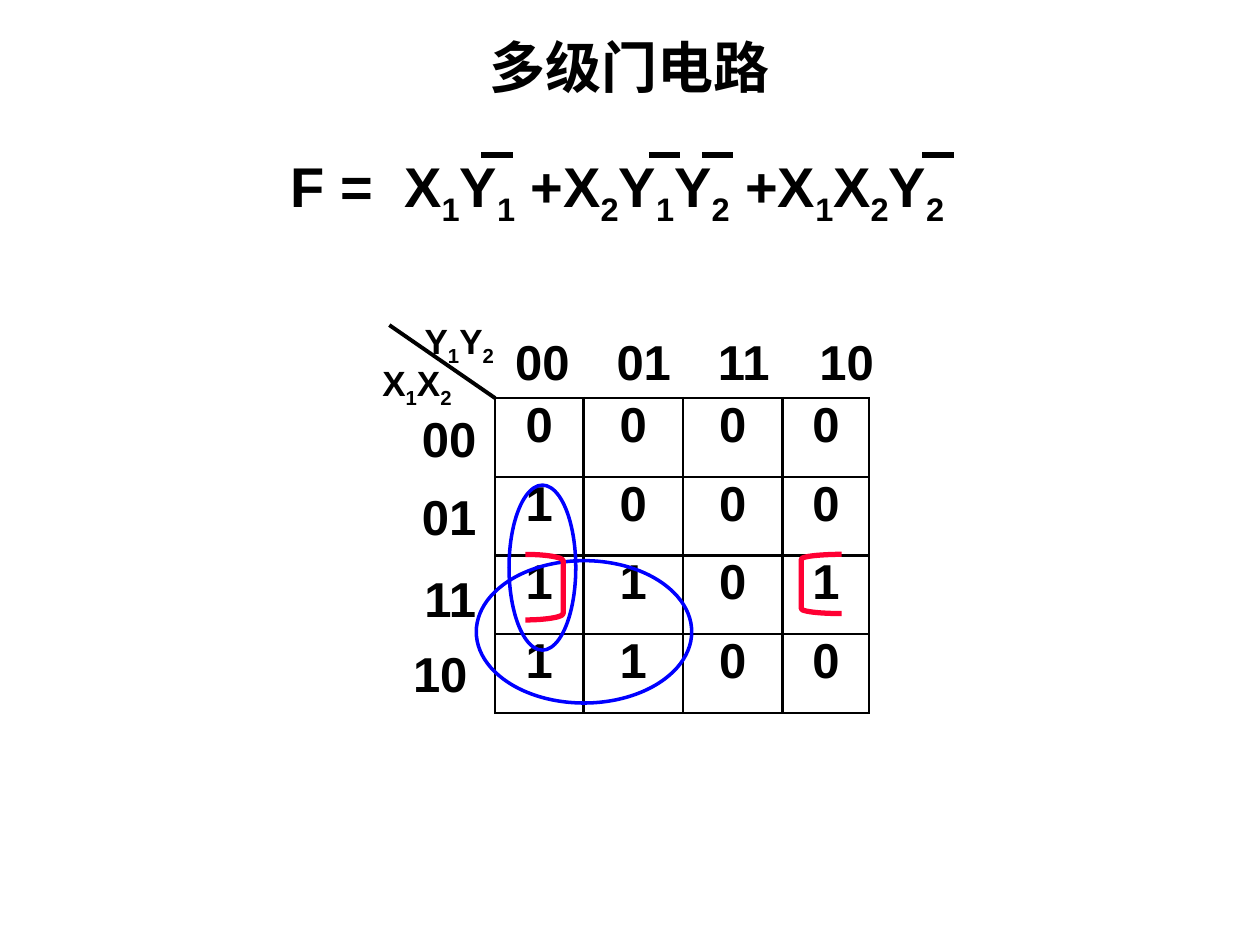
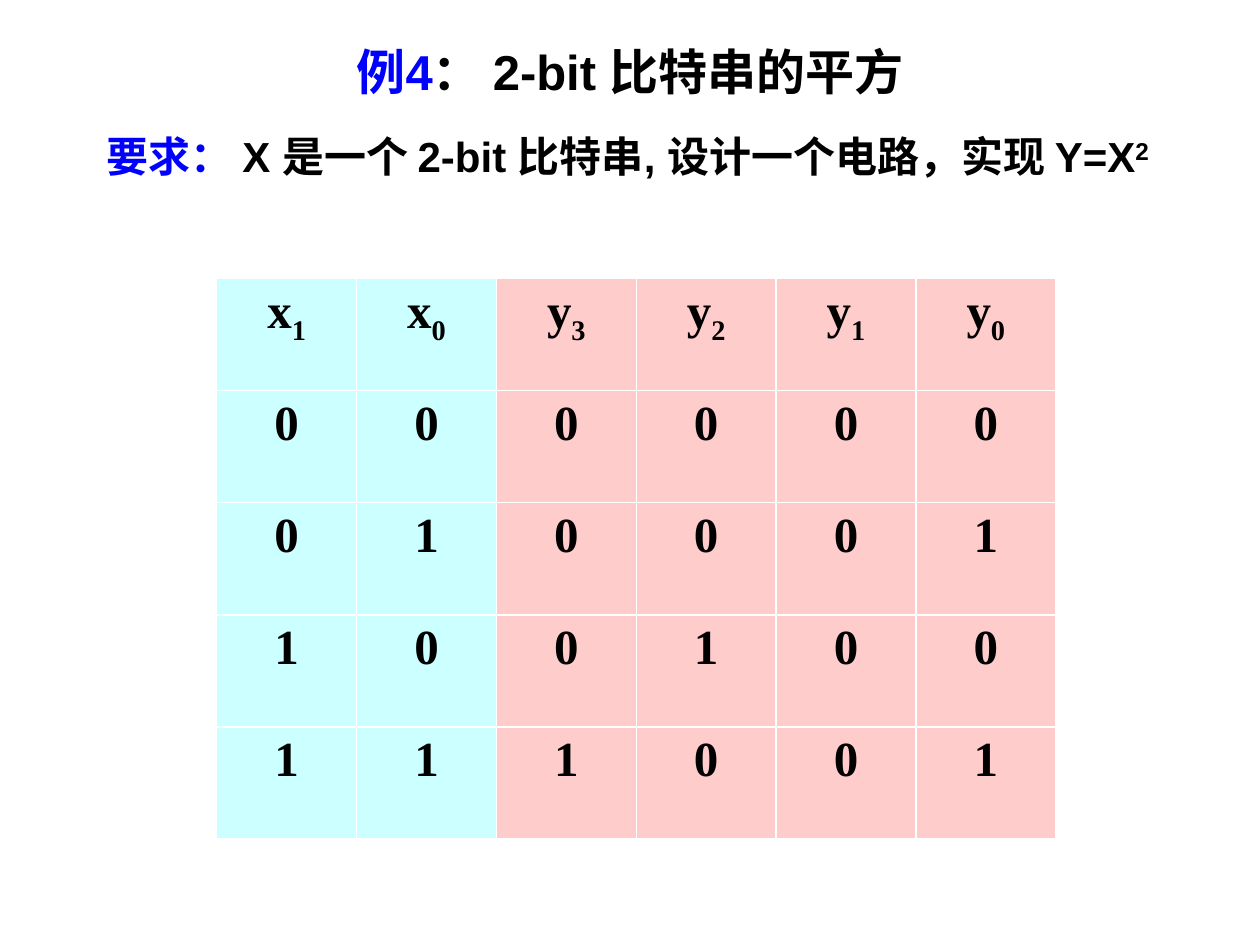
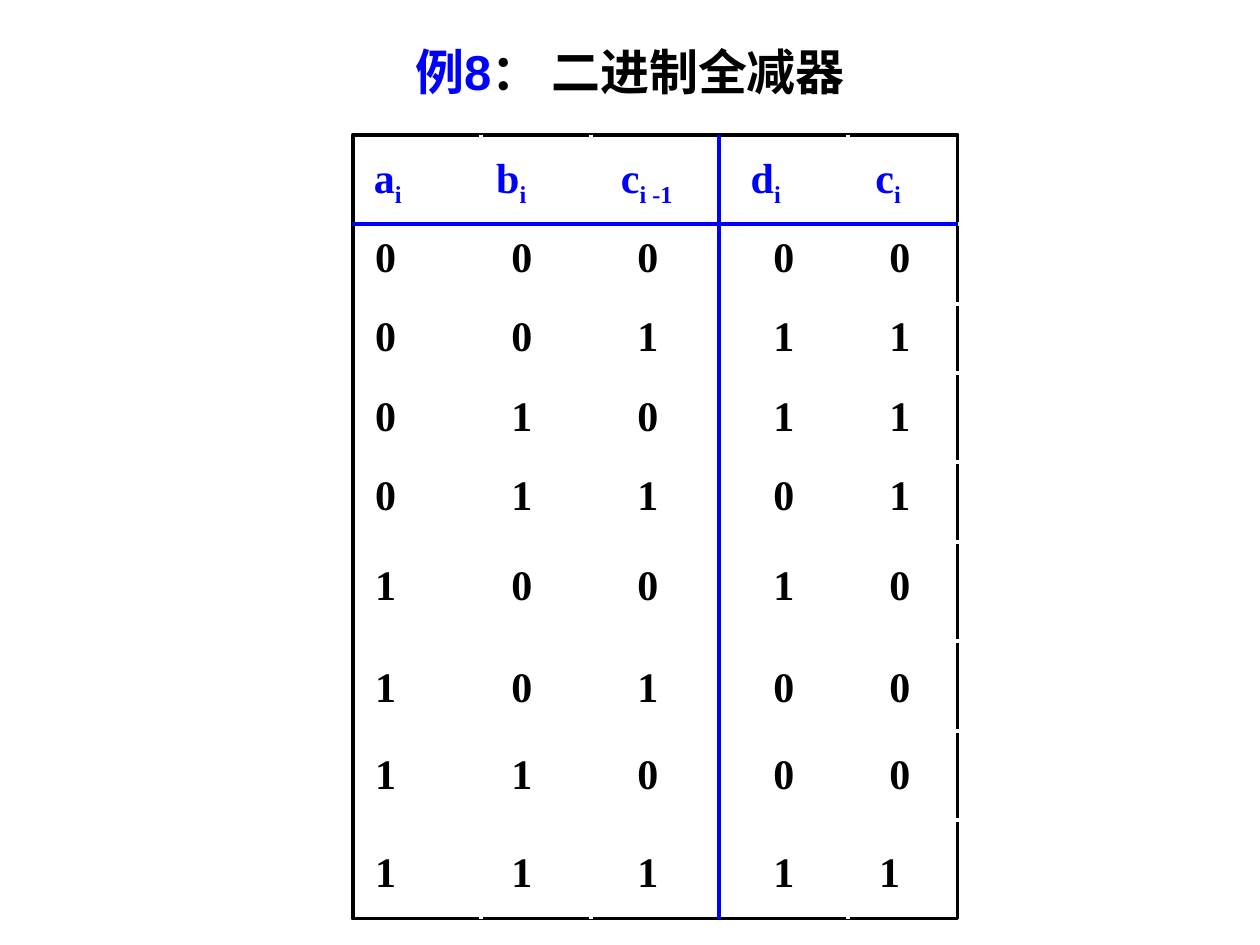
from lxml import etree
from pptx import Presentation
from pptx.dml.color import RGBColor
from pptx.enum.shapes import MSO_CONNECTOR, MSO_SHAPE
from pptx.enum.text import PP_ALIGN
from pptx.oxml.ns import qn
from pptx.util import Inches, Pt

CENTER, LEFT = PP_ALIGN.CENTER, PP_ALIGN.LEFT
STRAIGHT = MSO_CONNECTOR.STRAIGHT
RECT, OVAL = MSO_SHAPE.RECTANGLE, MSO_SHAPE.OVAL
LEFT_BRACKET, RIGHT_BRACKET = MSO_SHAPE.LEFT_BRACKET, MSO_SHAPE.RIGHT_BRACKET

COLORS = {
    "black": "000000", "white": "FFFFFF", "blue": "0000FF", "red": "FF0033",
    "input": "CCFFFF", "output": "FFCCCC",
}
SANS, SERIF, CJK = "Arial", "Times New Roman", "Noto Sans CJK SC"
SUB, SUPER = -25, 30


def rgb(name):
    return RGBColor.from_string(COLORS[name])


def write(p, text, size, color="black", font=SANS, shift=SUB):
    """Add bold runs to a paragraph; every second part between bars is shifted."""
    for i, part in enumerate(text.split("|")):
        if not part:
            continue
        r = p.add_run()
        r.text = part
        r.font.size, r.font.bold, r.font.name = Pt(size), True, font
        r.font.color.rgb = rgb(color)
        rPr = r._r.get_or_add_rPr()
        etree.SubElement(rPr, qn("a:ea")).set("typeface", CJK)
        if i % 2:
            rPr.set("baseline", str(shift * 1000))


def add_text(s, x, y, w, h, align=LEFT, tabs=(), wrap=True):
    """Add an empty text box and return its paragraph."""
    tf = s.shapes.add_textbox(Inches(x), Inches(y), Inches(w), Inches(h)).text_frame
    tf.word_wrap = wrap
    p = tf.paragraphs[0]
    p.alignment = align
    if tabs:
        tab_list = etree.SubElement(p._p.get_or_add_pPr(), qn("a:tabLst"))
        for pos in tabs:
            etree.SubElement(tab_list, qn("a:tab"), pos=str(Inches(pos)), algn="l")
    return p


def add_title(s, text, label="", y=0.28, size=28):
    p = add_text(s, 0, y, 10, 0.6, CENTER)
    write(p, label, size, "blue")
    write(p, text, size)


def add_line(s, x1, y1, x2, y2, color="black", width=2.25):
    line = s.shapes.add_connector(STRAIGHT, Inches(x1), Inches(y1), Inches(x2), Inches(y2))
    line.line.color.rgb, line.line.width = rgb(color), Pt(width)
    etree.SubElement(line._element.spPr, qn("a:effectLst"))


def add_outline(s, kind, x, y, w, h, color, width, bend=None):
    sp = s.shapes.add_shape(kind, Inches(x), Inches(y), Inches(w), Inches(h))
    sp.shadow.inherit = False
    sp.fill.background()
    sp.line.color.rgb, sp.line.width = rgb(color), Pt(width)
    if bend is not None:
        sp.adjustments[0] = bend


def set_borders(cell, color, width):
    tcPr = cell._tc.get_or_add_tcPr()
    for i, side in enumerate(("lnL", "lnR", "lnT", "lnB")):
        ln = etree.Element(qn(f"a:{side}"), w=str(Pt(width)))
        fill = etree.SubElement(ln, qn("a:solidFill"))
        etree.SubElement(fill, qn("a:srgbClr"), val=COLORS[color])
        tcPr.insert(i, ln)


def add_grid(s, x, y, widths, row_h, rows, font, border, border_w, fills=None):
    """Add a table of centred bold cells with an optional fill per column."""
    shape = s.shapes.add_table(len(rows), len(widths), Inches(x), Inches(y),
                               Inches(sum(widths)), Inches(row_h * len(rows)))
    table = shape.table
    table.first_row = table.horz_banding = False
    for col, w in zip(table.columns, widths):
        col.width = Inches(w)
    for i, values in enumerate(rows):
        table.rows[i].height = Inches(row_h)
        for j, value in enumerate(values):
            cell = table.cell(i, j)
            p = cell.text_frame.paragraphs[0]
            p.alignment = CENTER
            write(p, value, 28, font=font)
            if fills:
                cell.fill.solid()
                cell.fill.fore_color.rgb = rgb(fills[j])
            else:
                cell.fill.background()
                cell.margin_left = cell.margin_right = Inches(0.07)
                cell.margin_top = cell.margin_bottom = 0
            set_borders(cell, border, border_w)


def formula(s, x, y):
    p = add_text(s, x, y, 6, 0.63, tabs=[0.9], wrap=False)
    write(p, "F =\tX|1|Y|1| +X|2|Y|1|Y|2| +X|1|X|2|Y|2|", 32)
    for bar in (1.61, 2.94, 3.36, 5.11):
        add_line(s, x + bar, y + 0.08, x + bar + 0.25, y + 0.08, width=3)


def karnaugh_map(s, x, y):
    """Place the map with the top left corner of its cells at x, y."""
    add_grid(s, x, y, [0.7, 0.79, 0.79, 0.69], 0.625,
             ["0000", "1000", "1101", "1100"], SANS, "black", 1.5)
    add_line(s, x - 0.84, y - 0.58, x, y)
    for text, dx, dy in (("Y|1|Y|2|", -0.73, -0.67), ("X|1|X|2|", -1.02, -0.34)):
        write(add_text(s, x + dx, y + dy, 0.89 if dx > -1 else 0.8, 0.43, CENTER, wrap=False),
              text, 20)
    for i, code in enumerate(("00", "01", "11", "10")):
        write(add_text(s, x + 0.06 + 0.805 * i, y - 0.58, 0.7, 0.62), code, 28)
    for code, dx, dy in (("00", -0.68, 0.03), ("01", -0.68, 0.65),
                         ("11", -0.66, 1.3), ("10", -0.75, 1.9)):
        write(add_text(s, x + dx, y + dy, 0.7, 0.62), code, 28)
    add_outline(s, OVAL, x - 0.15, y + 1.29, 1.71, 1.13, "blue", 2)
    add_outline(s, OVAL, x + 0.11, y + 0.69, 0.53, 1.31, "blue", 2)
    add_outline(s, RIGHT_BRACKET, x + 0.24, y + 1.24, 0.3, 0.52, "red", 3, 0.17)
    add_outline(s, LEFT_BRACKET, x + 2.43, y + 1.24, 0.32, 0.47, "red", 3, 0.12)


def square_table(s, x, y):
    head = ["x|1|", "x|0|", "y|3|", "y|2|", "y|1|", "y|0|"]
    rows = [head] + [f"{n:02b}{n * n:04b}" for n in range(4)]
    add_grid(s, x, y, [1.11] * 6, 0.89, rows, SERIF, "white", 1,
             ["input"] * 2 + ["output"] * 4)


def subtractor_table(s, x, y, w, h):
    """Draw a framed truth table whose white rules cut its frame."""
    add_outline(s, RECT, x, y, w, h, "black", 2.25)
    for dy in (0.71, 1.34, 1.89, 2.6, 3.23, 4.02, 4.73, 5.44):
        add_line(s, x + 0.08, y + dy, x + w + 0.08, y + dy, "white")
    for dx in (1.02, 1.89, 3.93):
        add_line(s, x + dx, y, x + dx, y + h, "white")

    head = add_text(s, x + 0.07, y + 0.08, 4.7, 0.5, tabs=[0.97, 1.96, 2.99, 3.98])
    write(head, "a|i|\tb|i|\tc|i -1|\td|i|\tc|i|", 24, "blue", SERIF)
    rows = ("00000", "00111", "01011", "01101", "10010", "10100", "11000", "11111")
    tops = (0.71, 1.34, 1.97, 2.6, 3.31, 4.12, 4.81, 5.59)
    for bits, dy in zip(rows, tops):
        last = 4.0 if bits == "11111" else 4.08
        p = add_text(s, x + 0.08, y + dy, 4.7, 0.5, tabs=[1.08, 2.08, 3.16, last])
        write(p, "\t".join(bits), 24, font=SERIF)

    add_line(s, x, y + 0.71, x + w, y + 0.71, "blue")
    add_line(s, x + 2.91, y, x + 2.91, y + h, "blue")


def gate_slide(s):
    add_title(s, "多级门电路", y=0.21, size=32)
    formula(s, 2.21, 1.15)
    karnaugh_map(s, 3.93, 3.16)


def square_slide(s):
    add_title(s, "： 2-bit 比特串的平方", "例4")
    p = add_text(s, 0.75, 0.99, 9.15, 0.63, wrap=False)
    write(p, "要求： ", 24, "blue")
    write(p, "X 是一个 2-bit 比特串, 设计一个电路，实现 Y=X|2|", 24, shift=SUPER)
    square_table(s, 1.72, 2.21)


def subtractor_slide(s):
    add_title(s, "： 二进制全减器", "例8")
    subtractor_table(s, 2.8, 1.07, 4.8, 6.22)


def main():
    prs = Presentation()
    prs.slide_width, prs.slide_height = Inches(10), Inches(7.5)
    for build in (gate_slide, square_slide, subtractor_slide):
        build(prs.slides.add_slide(prs.slide_layouts[6]))
    prs.save("out.pptx")


if __name__ == "__main__":
    main()
